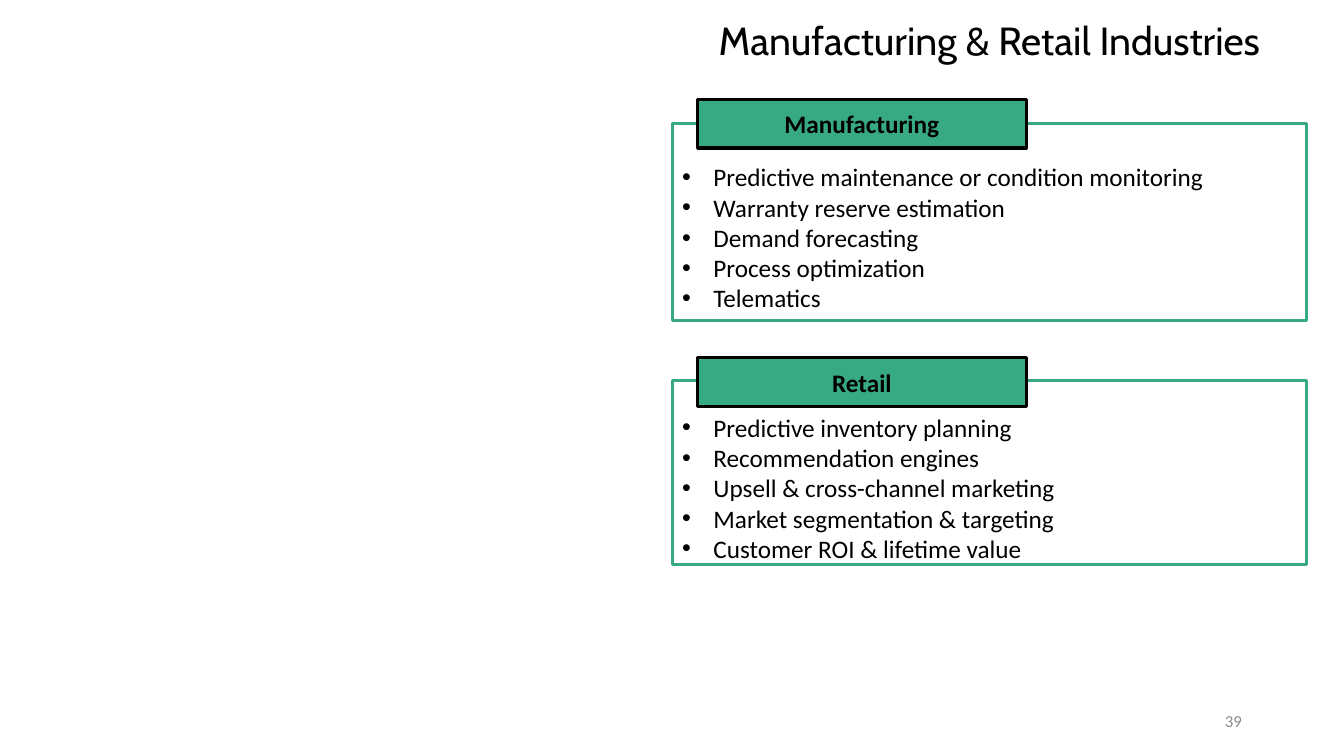
from dataclasses import dataclass

from lxml.etree import SubElement
from pptx import Presentation
from pptx.dml.color import RGBColor
from pptx.enum.shapes import MSO_SHAPE as Shape
from pptx.enum.text import MSO_ANCHOR as Anchor, PP_ALIGN as Align
from pptx.oxml.ns import qn
from pptx.util import Cm, Pt


@dataclass(frozen=True)
class Theme:
    green: str = "37AA84"
    black: str = "000000"
    gray: str = "8C8C8C"
    title_font: str = "Cabin"
    body_font: str = "Calibri"
    title_size: int = 28
    body_size: int = 18
    number_size: int = 12
    border: float = 2.25


class SlideBuilder:
    def __init__(self, slide, theme):
        self.slide = slide
        self.theme = theme

    def add_run(self, paragraph, text, size=None, color=None, font=None, bold=False):
        run = paragraph.add_run()
        run.text = text
        run.font.size = Pt(size or self.theme.body_size)
        run.font.name = font or self.theme.body_font
        run.font.bold = bold
        run.font.color.rgb = RGBColor.from_string(color or self.theme.black)

    def text(self, box, text, align, anchor=Anchor.TOP, spacing=None, **style):
        frame = self.slide.shapes.add_textbox(*map(Cm, box)).text_frame
        frame.word_wrap = True
        frame.vertical_anchor = anchor
        paragraph = frame.paragraphs[0]
        paragraph.alignment = align
        paragraph.line_spacing = spacing
        self.add_run(paragraph, text, **style)

    def rectangle(self, box, line, fill=None):
        shape = self.slide.shapes.add_shape(Shape.RECTANGLE, *map(Cm, box))
        shape.shadow.inherit = False
        shape.line.color.rgb = RGBColor.from_string(line)
        shape.line.width = Pt(self.theme.border)
        if fill:
            shape.fill.solid()
            shape.fill.fore_color.rgb = RGBColor.from_string(fill)
        else:
            shape.fill.background()
        frame = shape.text_frame
        frame.word_wrap = True
        frame.vertical_anchor = Anchor.MIDDLE
        return frame

    def bullets(self, frame, items):
        for index, item in enumerate(items):
            paragraph = frame.add_paragraph() if index else frame.paragraphs[0]
            paragraph.alignment = Align.LEFT
            properties = paragraph._p.get_or_add_pPr()
            indent = Cm(0.79)
            properties.set("marL", str(indent))
            properties.set("indent", str(-indent))
            SubElement(properties, qn("a:buFont"), typeface="Arial")
            SubElement(properties, qn("a:buChar"), char="•")
            self.add_run(paragraph, item)

    def panel(self, heading, items, top, height, heading_top):
        # Outlined list, with room for the heading at its top
        frame = self.rectangle((16.94, top, 15.98, height), self.theme.green)
        frame.margin_top, frame.margin_bottom = Cm(0.77), Cm(0)
        self.bullets(frame, items)
        # Heading over the upper border
        frame = self.rectangle((17.58, heading_top, 8.28, 1.22),
                               self.theme.black, self.theme.green)
        paragraph = frame.paragraphs[0]
        paragraph.alignment = Align.CENTER
        self.add_run(paragraph, heading, bold=True)


def main():
    presentation = Presentation()
    presentation.slide_width, presentation.slide_height = Cm(33.87), Cm(19.05)
    theme = Theme()
    slide = presentation.slides.add_slide(presentation.slide_layouts[6])
    builder = SlideBuilder(slide, theme)

    # Title
    builder.text((16.94, 0.41, 15.98, 1.55), "Manufacturing & Retail Industries",
                 Align.CENTER, spacing=0.9, size=theme.title_size,
                 font=theme.title_font)

    # Industry panels
    builder.panel("Manufacturing", [
        "Predictive maintenance or condition monitoring",
        "Warranty reserve estimation",
        "Demand forecasting",
        "Process optimization",
        "Telematics",
    ], top=3.12, height=4.95, heading_top=2.51)
    builder.panel("Retail", [
        "Predictive inventory planning",
        "Recommendation engines",
        "Upsell & cross-channel marketing",
        "Market segmentation & targeting",
        "Customer ROI & lifetime value",
    ], top=9.58, height=4.65, heading_top=9.02)

    # Page number
    builder.text((23.93, 17.65, 7.62, 1.02), "39", Align.RIGHT, Anchor.MIDDLE,
                 size=theme.number_size, color=theme.gray)

    presentation.save("out.pptx")


if __name__ == "__main__":
    main()
